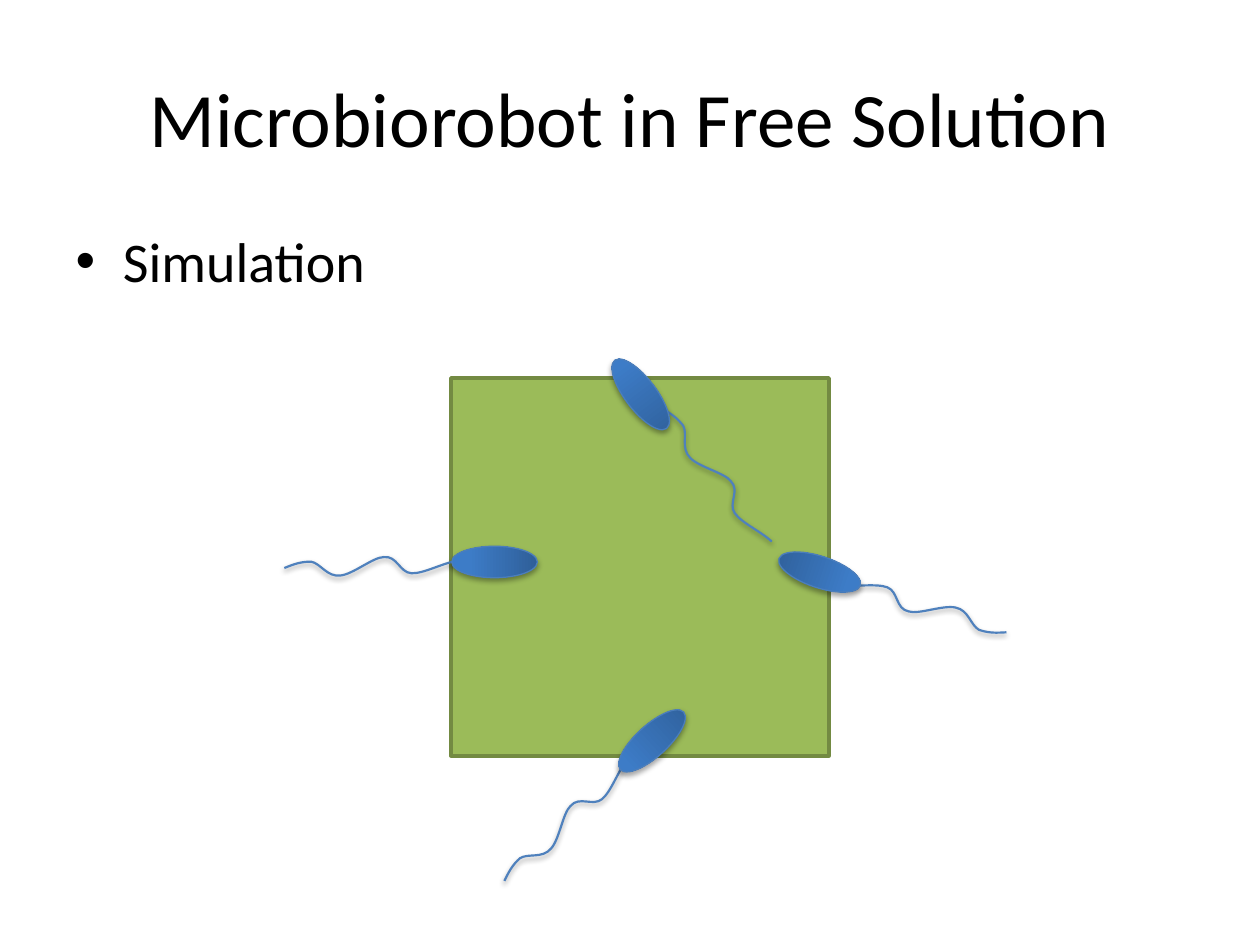
import copy

import pptx
import pptx.dml.color
import pptx.enum.shapes
import pptx.enum.text
import pptx.oxml
import pptx.oxml.ns
import pptx.util

Inches = pptx.util.Inches
Pt = pptx.util.Pt
qn = pptx.oxml.ns.qn

COLORS = {
    "text": "000000",
    "chamber": "9BBB59",
    "chamber_edge": "738A42",
    "flagellum": "4F81BD",
    "cell_edge": "4B7EBC",
    "cell_dark": "2F5F99",
    "cell_mid": "3D7CC7",
    "cell_light": "3A7CCB",
    "shadow": "000000",
}
CELL_GRADIENT = [(0, "cell_dark"), (0.8, "cell_mid"), (1, "cell_light")]
CELL_SIZE = (0.25, 0.68)

FLAGELLUM_START = (0.62, 0)
FLAGELLUM_CURVES = [
    [(0.61, 0.08), (0.6, 0.14), (0.56, 0.21)],
    [(0.51, 0.27), (0.39, 0.26), (0.35, 0.36)],
    [(0.31, 0.45), (0.35, 0.66), (0.31, 0.73)],
    [(0.27, 0.83), (0.14, 0.78), (0.09, 0.86)],
    [(0.04, 0.94), (0.04, 1.11), (0, 1.22)],
]

BACTERIA = [
    {"flagellum": (2.63, 3.87, 240.7), "cell": (3.8, 4.12, 270)},
    {"flagellum": (5.38, 3.16, 293.6), "cell": (4.96, 2.79, 322.8)},
    {"flagellum": (7.02, 4.22, 79), "cell": (6.38, 4.2, 108.2)},
    {"flagellum": (4.18, 5.9, 198.4), "cell": (5.05, 5.54, 227.7)},
]


class SlideBuilder:
    def __init__(self, slide, font="Calibri"):
        self.slide = slide
        self.font = font

    def color(self, name):
        return pptx.dml.color.RGBColor.from_string(COLORS[name])

    def placeholder(self, index, box, text, size, align, anchor):
        holder = self.slide.placeholders[index]
        holder.left, holder.top, holder.width, holder.height = map(Inches, box)
        holder.text_frame.vertical_anchor = anchor
        paragraph = holder.text_frame.paragraphs[0]
        paragraph.alignment = align
        run = paragraph.add_run()
        run.text = text
        run.font.name = self.font
        run.font.size = Pt(size)
        run.font.color.rgb = self.color("text")

    def outline(self, shape, color, width):
        shape.line.color.rgb = self.color(color)
        shape.line.width = Pt(width)
        shape.shadow.inherit = False

    def drop_shadow(self, shape, distance, opacity):
        effects = shape._element.spPr.find(qn("a:effectLst"))
        effects.append(pptx.oxml.parse_xml(
            f'<a:outerShdw {pptx.oxml.ns.nsdecls("a")} blurRad="{Pt(3.1)}" '
            f'dist="{Pt(distance)}" dir="5400000" rotWithShape="0">'
            f'<a:srgbClr val="{COLORS["shadow"]}">'
            f'<a:alpha val="{opacity * 1000}"/></a:srgbClr></a:outerShdw>'))

    def chamber(self, left, top, side):
        square = self.slide.shapes.add_shape(
            pptx.enum.shapes.MSO_SHAPE.RECTANGLE,
            Inches(left), Inches(top), Inches(side), Inches(side))
        square.fill.solid()
        square.fill.fore_color.rgb = self.color("chamber")
        self.outline(square, "chamber_edge", 2)

    def flagellum(self, left, top, rotation):
        builder = self.slide.shapes.build_freeform(
            *map(Inches, FLAGELLUM_START), scale=1.0)
        builder.add_line_segments(
            [tuple(map(Inches, curve[-1])) for curve in FLAGELLUM_CURVES],
            close=False)
        tail = builder.convert_to_shape(Inches(left), Inches(top))
        segments = list(tail._element.iter(qn("a:lnTo")))
        for segment, curve in zip(segments, FLAGELLUM_CURVES):
            points = "".join(
                f'<a:pt x="{Inches(x)}" y="{Inches(y)}"/>' for x, y in curve)
            segment.getparent().replace(segment, pptx.oxml.parse_xml(
                f'<a:cubicBezTo {pptx.oxml.ns.nsdecls("a")}>{points}'
                f'</a:cubicBezTo>'))
        tail.rotation = rotation
        tail.fill.background()
        self.outline(tail, "flagellum", 1.25)
        self.drop_shadow(tail, 1.6, 38)

    def cell(self, left, top, rotation):
        body = self.slide.shapes.add_shape(
            pptx.enum.shapes.MSO_SHAPE.OVAL,
            Inches(left), Inches(top), *map(Inches, CELL_SIZE))
        body.rotation = rotation
        body.fill.gradient()
        body.fill.gradient_angle = 90
        stop_list = next(body._element.iter(qn("a:gsLst")))
        stop_list.append(copy.deepcopy(stop_list[-1]))
        for stop, (position, color) in zip(body.fill.gradient_stops, CELL_GRADIENT):
            stop.position = position
            stop.color.rgb = self.color(color)
        self.outline(body, "cell_edge", 0.75)
        self.drop_shadow(body, 1.8, 35)


def main():
    presentation = pptx.Presentation()
    presentation.slide_width = Inches(10)
    presentation.slide_height = Inches(7.5)
    layout = presentation.slide_layouts[1]
    builder = SlideBuilder(presentation.slides.add_slide(layout))

    align = pptx.enum.text.PP_ALIGN
    anchor = pptx.enum.text.MSO_ANCHOR
    builder.placeholder(0, (0.5, 0.3, 9, 1.25), "Microbiorobot in Free Solution",
                        44, align.CENTER, anchor.MIDDLE)
    builder.placeholder(1, (0.5, 1.75, 9, 4.95), "Simulation",
                        32, align.LEFT, anchor.TOP)

    builder.chamber(3.58, 3, 3)
    for bacterium in BACTERIA:
        builder.flagellum(*bacterium["flagellum"])
        builder.cell(*bacterium["cell"])

    presentation.save("out.pptx")


if __name__ == "__main__":
    main()
